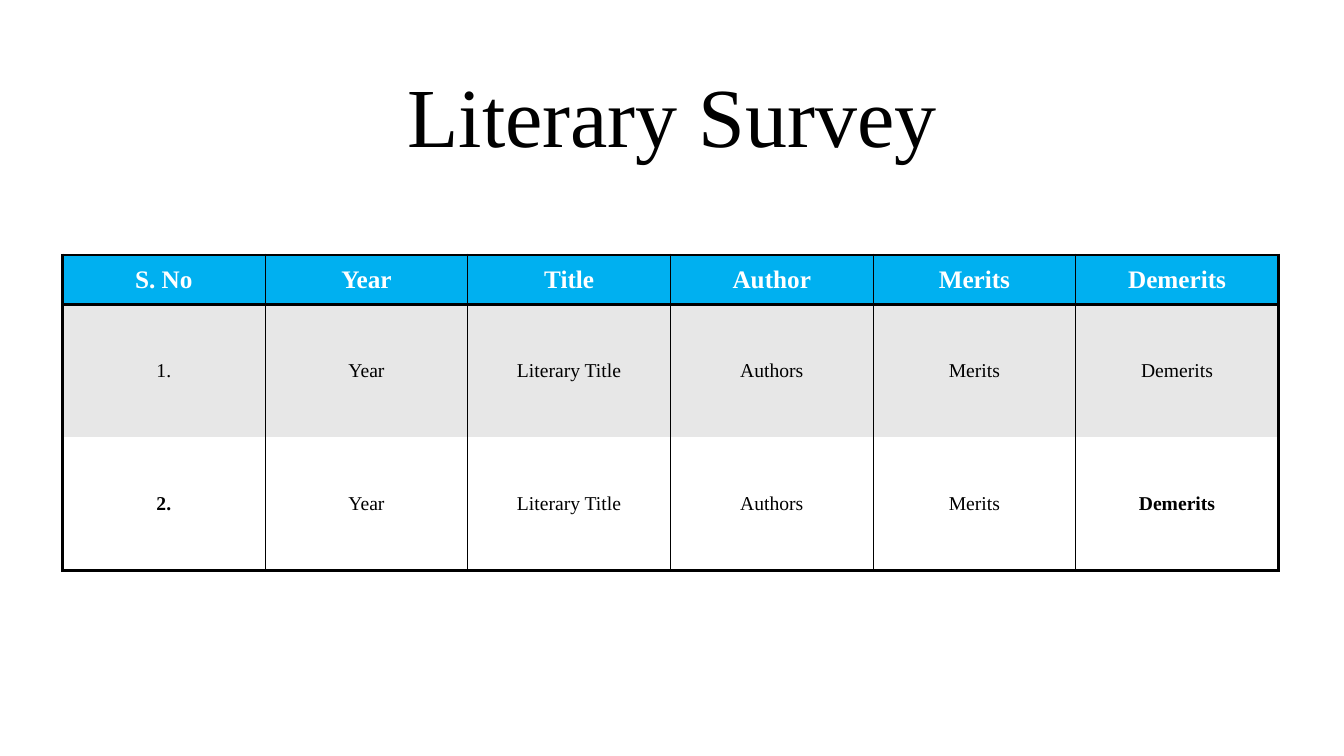
from lxml import etree
from pptx import Presentation
from pptx.dml.color import RGBColor
from pptx.enum.text import MSO_ANCHOR, PP_ALIGN
from pptx.oxml.ns import qn
from pptx.util import Inches, Pt

CENTER = PP_ALIGN.CENTER
MIDDLE = MSO_ANCHOR.MIDDLE
TITLE_ONLY = 5

HEADINGS = ["S. No", "Year", "Title", "Author", "Merits", "Demerits"]
ENTRY = ["Year", "Literary Title", "Authors", "Merits", "Demerits"]
SURVEY = [HEADINGS, ["1."] + ENTRY, ["2."] + ENTRY]
BOLD_ENTRIES = {(2, 0), (2, 5)}

ROW_HEIGHTS = [0.49, 1.32, 1.32]
COLUMN_WIDTH = 2.01
ROW_FILLS = ["00B0F0", "E7E7E7", "FFFFFF"]
ROW_RULES = [2.25, 2, 0, 2.25]
COLUMN_RULES = [2.25] + [1] * (len(HEADINGS) - 1) + [2.25]


def color(hex_value):
    return RGBColor.from_string(hex_value)


class SurveySlide:
    font_name = "Times New Roman"
    ink = "000000"

    def __init__(self, presentation):
        layout = presentation.slide_layouts[TITLE_ONLY]
        self.slide = presentation.slides.add_slide(layout)

    def add_text(self, frame, text, size, ink=ink, bold=False):
        paragraph = frame.paragraphs[0]
        paragraph.alignment = CENTER
        run = paragraph.add_run()
        run.text = text
        font_format = {"name": self.font_name, "size": Pt(size), "bold": bold}
        for attribute, value in font_format.items():
            setattr(run.font, attribute, value)
        run.font.color.rgb = color(ink)
        return paragraph

    def title(self, text, left, top, width, height):
        heading = self.slide.shapes.title
        place = {"left": left, "top": top, "width": width, "height": height}
        for attribute, value in place.items():
            setattr(heading, attribute, Inches(value))
        heading.text_frame.vertical_anchor = MIDDLE
        self.add_text(heading.text_frame, text, 60).line_spacing = 0.9

    def border(self, cell, side, points):
        """Draw one cell edge; zero points means no line."""
        properties = cell._tc.get_or_add_tcPr()
        line = etree.SubElement(properties, qn(f"a:ln{side}"), w=str(Pt(points)))
        if points:
            fill = etree.SubElement(line, qn("a:solidFill"))
            etree.SubElement(fill, qn("a:srgbClr"), val=self.ink)
        else:
            etree.SubElement(line, qn("a:noFill"))

    def table(self, rows, left, top):
        size = Inches(COLUMN_WIDTH * len(rows[0])), Inches(sum(ROW_HEIGHTS))
        survey = self.slide.shapes.add_table(
            len(rows), len(rows[0]), Inches(left), Inches(top), *size).table
        survey.horz_banding = False
        for column in survey.columns:
            column.width = Inches(COLUMN_WIDTH)
        for r, texts in enumerate(rows):
            survey.rows[r].height = Inches(ROW_HEIGHTS[r])
            for c, text in enumerate(texts):
                self.cell(survey.cell(r, c), text, r, c)

    def cell(self, cell, text, r, c):
        edges = {"L": COLUMN_RULES[c], "R": COLUMN_RULES[c + 1],
                 "T": ROW_RULES[r], "B": ROW_RULES[r + 1]}
        for side, points in edges.items():
            self.border(cell, side, points)
        cell.fill.solid()
        cell.fill.fore_color.rgb = color(ROW_FILLS[r])
        cell.vertical_anchor = MIDDLE
        if r == 0:
            self.add_text(cell.text_frame, text, 18, "FFFFFF", True)
        else:
            self.add_text(cell.text_frame, text, 14, bold=(r, c) in BOLD_ENTRIES)


def main():
    presentation = Presentation()
    presentation.slide_width = Inches(13.33)
    presentation.slide_height = Inches(7.5)
    survey_slide = SurveySlide(presentation)
    survey_slide.title("Literary Survey", 1.67, 0.67, 10, 1.04)
    survey_slide.table(SURVEY, 0.62, 2.53)
    presentation.save("out.pptx")


if __name__ == "__main__":
    main()
